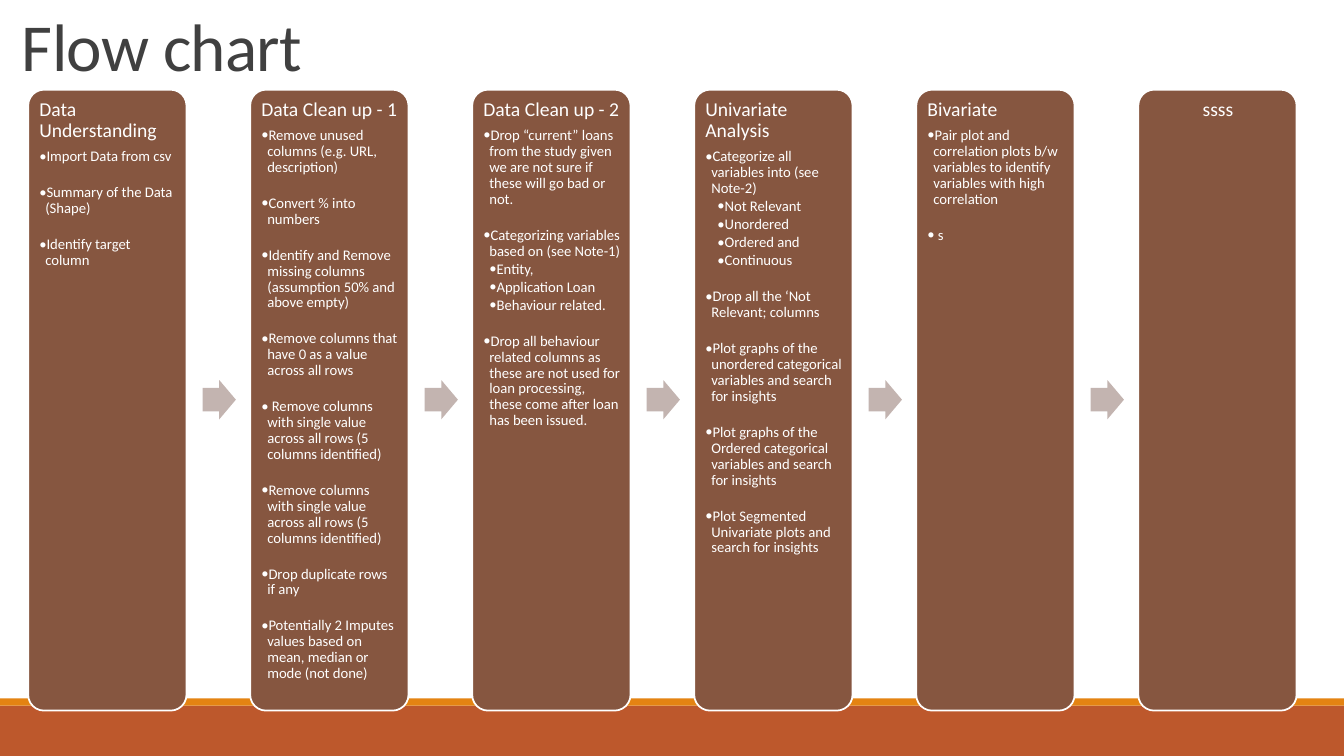
from pptx import Presentation
from pptx.dml.color import RGBColor
from pptx.enum.shapes import MSO_SHAPE as SHAPE
from pptx.enum.text import MSO_ANCHOR as ANCHOR, PP_ALIGN as ALIGN
from pptx.oxml.ns import qn
from pptx.util import Inches, Pt
from lxml import etree

RUST = RGBColor(0xBD, 0x58, 0x2C)
ORANGE = RGBColor(0xE4, 0x83, 0x12)
BROWN = RGBColor(0x86, 0x56, 0x40)
TAUPE = RGBColor(0xC3, 0xB4, 0xB0)
CHARCOAL = RGBColor(0x40, 0x40, 0x40)
WHITE = RGBColor(0xFF, 0xFF, 0xFF)

# Each step: heading, alignment, hanging indent of its sub-points,
# and its points, each with a list of sub-points
STEPS = [
    ("Data Understanding", ALIGN.LEFT, 0.06, [
        ("Import Data from csv", []),
        ("Summary of the Data (Shape)", []),
        ("Identify target column", []),
    ]),
    ("Data Clean up - 1", ALIGN.LEFT, 0.06, [
        ("Remove unused columns (e.g. URL, description)", []),
        ("Convert % into numbers", []),
        ("Identify and Remove missing columns (assumption 50% and above empty)", []),
        ("Remove columns that have 0 as a value across all rows", []),
        (" Remove columns with single value across all rows (5 columns identified)", []),
        ("Remove columns with single value across all rows (5 columns identified)", []),
        ("Drop duplicate rows if any", []),
        ("Potentially 2 Imputes values based on mean, median or mode (not done)", []),
    ]),
    ("Data Clean up - 2", ALIGN.LEFT, 0.06, [
        ("Drop “current” loans from the study given we are not sure if these "
         "will go bad or not.", []),
        ("Categorizing variables based on (see Note-1)",
         ["Entity,", "Application Loan", "Behaviour related."]),
        ("Drop all behaviour related columns as these are not used for loan "
         "processing, these come after loan has been issued.", []),
    ]),
    ("Univariate Analysis", ALIGN.LEFT, 0, [
        ("Categorize all variables into (see Note-2)",
         ["Not Relevant", "Unordered", "Ordered and", "Continuous"]),
        ("Drop all the ‘Not Relevant; columns", []),
        ("Plot graphs of the unordered categorical variables and search for insights", []),
        ("Plot graphs of the Ordered categorical variables and search for insights", []),
        ("Plot Segmented Univariate plots and search for insights", []),
    ]),
    ("Bivariate", ALIGN.LEFT, 0.06, [
        ("Pair plot and correlation plots b/w variables to identify variables "
         "with high correlation", []),
        (" s", []),
    ]),
    ("ssss", ALIGN.CENTER, 0.06, []),
]
FIRST_LEFT, LAST_LEFT = 0.28, 11.29
STEP_PITCH = (LAST_LEFT - FIRST_LEFT) / (len(STEPS) - 1)

prs = Presentation()
prs.slide_width, prs.slide_height = Inches(13.33), Inches(7.5)
slide = prs.slides.add_slide(prs.slide_layouts[6])


def add_block(kind, left, top, width, height, color):
    block = slide.shapes.add_shape(
        kind, Inches(left), Inches(top), Inches(width), Inches(height))
    block.shadow.inherit = False
    block.fill.solid()
    block.fill.fore_color.rgb = color
    block.line.fill.background()
    return block


def add_line(paragraph, text, size, color, spacing):
    paragraph.line_spacing = spacing
    run = paragraph.add_run()
    run.text = text
    run.font.name = "Calibri"
    run.font.size = Pt(size)
    run.font.color.rgb = color
    return run


# Footer bands
add_block(SHAPE.RECTANGLE, 0, 7, 13.33, 0.5, RUST)
add_block(SHAPE.RECTANGLE, 0, 6.93, 13.33, 0.07, ORANGE)

# Title
title = slide.shapes.add_textbox(Inches(0.12), Inches(-0.7), Inches(11), Inches(1.59))
title.text_frame.word_wrap = True
title.text_frame.vertical_anchor = ANCHOR.BOTTOM
title_run = add_line(title.text_frame.paragraphs[0], "Flow chart", 48, CHARCOAL, 0.85)
title_run.font._element.set("spc", "-50")

# Step columns
for index, (heading, align, sub_hang, points) in enumerate(STEPS):
    left = FIRST_LEFT + index * STEP_PITCH
    column = add_block(SHAPE.ROUNDED_RECTANGLE, left, 0.89, 1.57, 6.16, BROWN)
    column.adjustments[0] = 0.1
    column.line.color.rgb = WHITE
    column.line.width = Pt(1.25)

    content = slide.shapes.add_textbox(
        Inches(left + 0.05), Inches(0.93), Inches(1.48), Inches(6.07))
    frame = content.text_frame
    frame.word_wrap = True
    frame.margin_left = frame.margin_right = Inches(0.06)
    frame.margin_top = frame.margin_bottom = Inches(0.06)
    heading_line = frame.paragraphs[0]
    heading_line.alignment = align
    add_line(heading_line, heading, 14, WHITE, 0.9)

    # Bulleted points: text, level, hanging indent, space before
    bullets = []
    for number, (point, sub_points) in enumerate(points):
        bullets.append((point, 1, 0.06, 14.4 if number else 5))
        bullets += [(sub, 2, sub_hang, 1.6) for sub in sub_points]
    for text, level, hang, gap in bullets:
        bullet = frame.add_paragraph()
        bullet.level = level
        bullet.space_before = Pt(gap)
        add_line(bullet, text, 10.5, WHITE, 0.9)
        properties = bullet._p.get_or_add_pPr()
        properties.set("marL", str(Inches(0.06 * level)))
        properties.set("indent", str(-Inches(hang)))
        etree.SubElement(properties, qn("a:buFont")).set("typeface", "Calibri")
        etree.SubElement(properties, qn("a:buChar")).set("char", "•")

    # Arrow to the next step
    if index < len(STEPS) - 1:
        arrow = add_block(SHAPE.RIGHT_ARROW, left + 1.73, 3.77, 0.33, 0.39, TAUPE)
        arrow.adjustments[0] = 0.6
        arrow.adjustments[1] = 0.5

prs.save("out.pptx")
